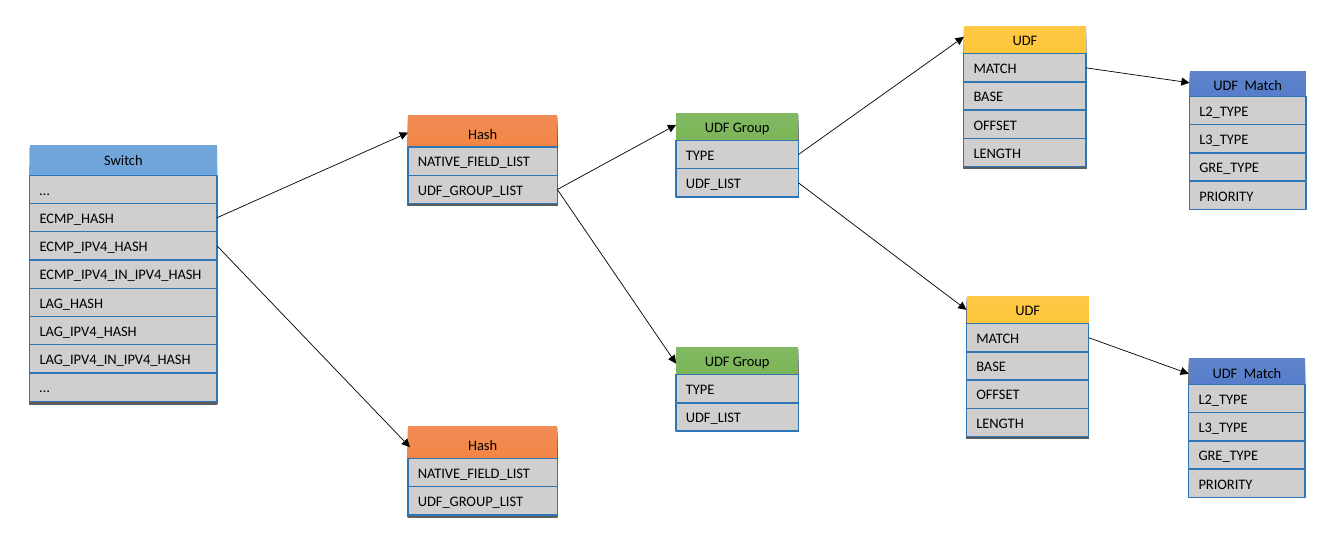
from lxml.etree import SubElement
from pptx import Presentation
from pptx.dml.color import RGBColor
from pptx.enum.shapes import MSO_CONNECTOR, MSO_SHAPE
from pptx.enum.text import MSO_ANCHOR, PP_ALIGN
from pptx.oxml.ns import qn
from pptx.util import Cm, Pt

ROW = 0.72    # height of a field row, cm
RIGHT = 3     # connection site on a rectangle's right side

# width, header height, title drop, title width, panel height, colours, fields
KINDS = {
    "Switch": (4.78, 0.76, 0, 1.52, 6.55, ("71A6DB", "559BDB"),
               ["…", "ECMP_HASH", "ECMP_IPV4_HASH", "ECMP_IPV4_IN_IPV4_HASH",
                "LAG_HASH", "LAG_IPV4_HASH", "LAG_IPV4_IN_IPV4_HASH", "…"]),
    "Hash": (3.81, 0.83, 0.13, 1.27, 2.27, ("F18C55", "F67B28"),
             ["NATIVE_FIELD_LIST", "UDF_GROUP_LIST"]),
    "UDF Group": (3.12, 0.71, 0, 2.18, 2.12, ("81B861", "6FB242"),
                  ["TYPE", "UDF_LIST"]),
    "UDF": (3.12, 0.71, 0, 1.17, 3.59, ("FFC746", "FFC600"),
            ["MATCH", "BASE", "OFFSET", "LENGTH"]),
    "UDF  Match": (2.97, 0.66, 0, 2.31, 2.11, ("6083CB", "3E70CA"),
                   ["L2_TYPE", "L3_TYPE", "GRE_TYPE", "PRIORITY"]),
}

# name, kind, left, top
BOXES = [
    ("switch", "Switch", 0.76, 3.71),
    ("hash 1", "Hash", 10.41, 2.92),
    ("hash 2", "Hash", 10.41, 10.86),
    ("group 1", "UDF Group", 17.25, 2.87),
    ("group 2", "UDF Group", 17.25, 8.84),
    ("udf 1", "UDF", 24.59, 0.66),
    ("udf 2", "UDF", 24.66, 7.54),
    ("match 1", "UDF  Match", 30.35, 1.8),
    ("match 2", "UDF  Match", 30.33, 9.14),
]

# box, row, x and y of the arrow's tip
LINKS = [
    ("switch", 1, 10.41, 3.38),
    ("switch", 2, 10.46, 11.4),
    ("hash 1", 1, 17.25, 3.18),
    ("hash 1", 1, 17.25, 9.27),
    ("group 1", 0, 24.59, 0.94),
    ("group 1", 1, 24.66, 7.9),
    ("udf 1", 0, 30.35, 2.11),
    ("udf 2", 0, 30.33, 9.53),
]


def color(code):
    return RGBColor.from_string(code)


class Chart:
    font, size, ink = "Calibri", Pt(10.5), "000000"
    field, edge = "D0CECE", "2E75B6"

    def __init__(self, slide):
        self.shapes = slide.shapes

    def label(self, shape, text, align):
        frame = shape.text_frame
        frame.vertical_anchor = MSO_ANCHOR.MIDDLE
        para = frame.paragraphs[0]
        para.text = text
        para.alignment = align
        para.font.name, para.font.size = self.font, self.size
        para.font.color.rgb = color(self.ink)

    def rect(self, x, y, w, h):
        shape = self.shapes.add_shape(MSO_SHAPE.RECTANGLE, Cm(x), Cm(y), Cm(w), Cm(h))
        shape.shadow.inherit = False
        return shape

    def panel(self, x, y, w, h, shades):
        """Draw a gradient back plate with a hard shadow below it."""
        plate = self.rect(x, y, w, h)
        plate.line.fill.background()
        plate.fill.gradient()
        plate.fill.gradient_angle = 270
        for stop, shade in zip(plate.fill.gradient_stops, shades):
            stop.color.rgb = color(shade)
        effects = plate._element.spPr.find(qn("a:effectLst"))
        shadow = SubElement(effects, qn("a:outerShdw"), dist=str(Pt(1.5)),
                            dir="5400000", algn="ctr", rotWithShape="0")
        tint = SubElement(shadow, qn("a:srgbClr"), val=self.ink)
        SubElement(tint, qn("a:alpha"), val="63000")

    def title(self, x, y, w, text):
        head = self.shapes.add_textbox(Cm(x), Cm(y), Cm(w), Cm(0.71))
        head.text_frame.word_wrap = False
        self.label(head, text, PP_ALIGN.CENTER)

    def row(self, x, y, w, text):
        cell = self.rect(x, y, w, ROW)
        cell.fill.solid()
        cell.fill.fore_color.rgb = color(self.field)
        cell.line.color.rgb = color(self.edge)
        cell.line.width = Pt(1)
        self.label(cell, text, PP_ALIGN.LEFT)
        return cell

    def box(self, kind, x, y):
        """Draw a titled box and return its rows."""
        width, head, drop, span, tall, shades, fields = KINDS[kind]
        self.panel(x, y, width, tall, shades)
        self.title(x + (width - span) / 2, y + drop, span, kind)
        return [self.row(x, y + head + i * ROW, width, text)
                for i, text in enumerate(fields)]

    def arrow(self, start, x, y):
        line = self.shapes.add_connector(MSO_CONNECTOR.STRAIGHT, 0, 0, Cm(x), Cm(y))
        line.begin_connect(start, RIGHT)
        line.line.color.rgb = color(self.ink)
        line.line.width = Pt(0.5)
        stroke = line._element.spPr.find(qn("a:ln"))
        SubElement(stroke, qn("a:tailEnd"), type="triangle")
        SubElement(line._element.spPr, qn("a:effectLst"))


def main():
    deck = Presentation()
    deck.slide_width, deck.slide_height = Cm(34.29), Cm(13.97)
    chart = Chart(deck.slides.add_slide(deck.slide_layouts[6]))
    rows = {name: chart.box(kind, x, y) for name, kind, x, y in BOXES}
    for name, index, x, y in LINKS:
        chart.arrow(rows[name][index], x, y)
    deck.save("out.pptx")


if __name__ == "__main__":
    main()
